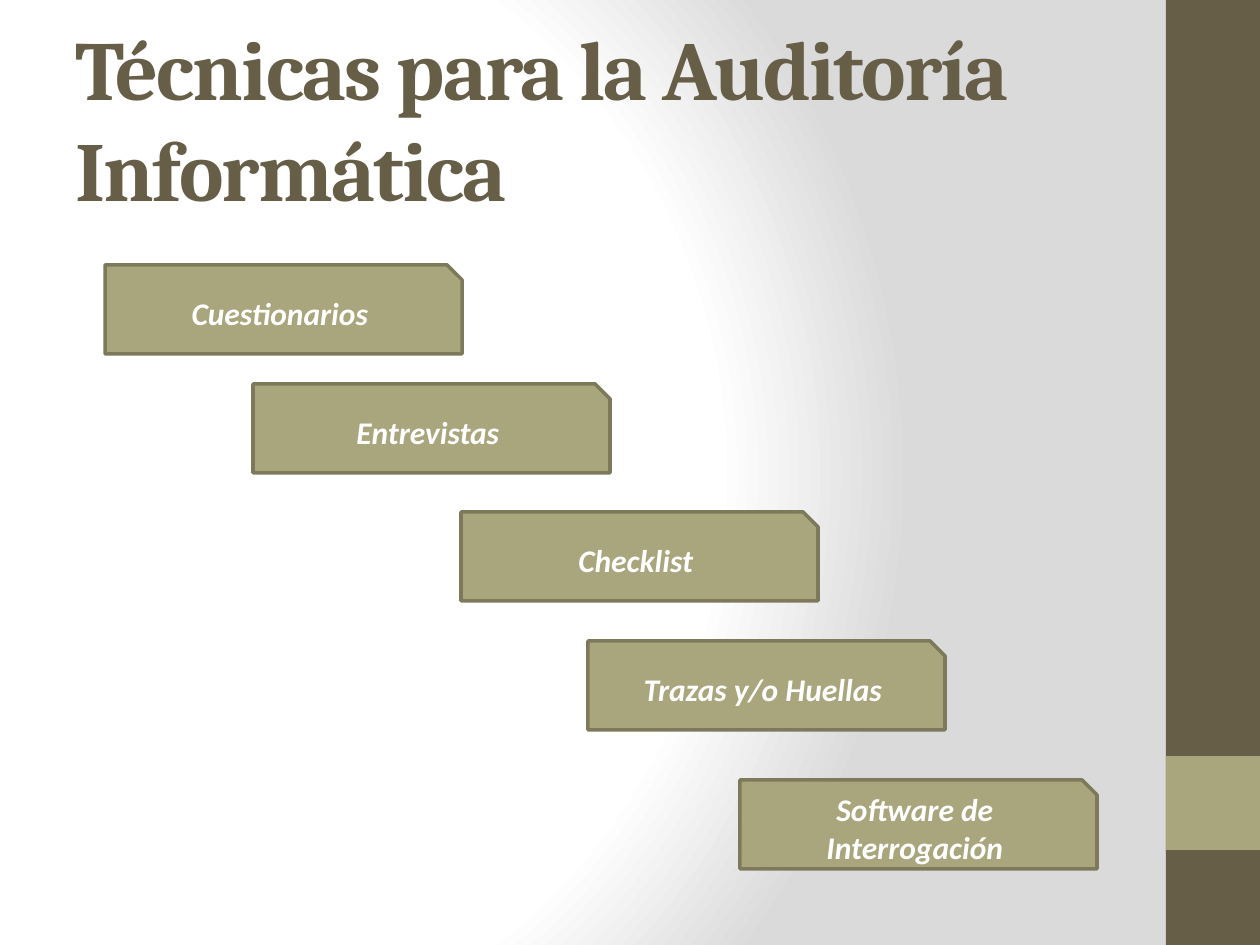
from lxml import etree
from pptx import Presentation
from pptx.dml.color import RGBColor
from pptx.enum.shapes import MSO_SHAPE
from pptx.enum.text import MSO_ANCHOR, PP_ALIGN
from pptx.oxml import parse_xml
from pptx.oxml.ns import nsdecls
from pptx.util import Emu, Pt

RECT, CARD = MSO_SHAPE.RECTANGLE, MSO_SHAPE.SNIP_1_RECTANGLE
MIDDLE = MSO_ANCHOR.MIDDLE
LEFT, CENTER = PP_ALIGN.LEFT, PP_ALIGN.CENTER

COLORS = {"brown": "675E47", "olive": "A9A57C", "edge": "7D7A5C",
          "white": "FFFFFF", "gray": "DADADA"}
TITLE = "Técnicas para la Auditoría Informática"
TITLE_BOX = (63, 38, 1050, 158)
TITLE_FONT = {"name": "Cambria", "size": Pt(48), "bold": True}
CARD_FONT = {"name": "Calibri", "size": Pt(18), "bold": True, "italic": True}
SIDEBAR = [((1166, 0, 94, 945), "brown"), ((1166, 756, 94, 94), "olive")]
TECHNIQUES = [
    ("Cuestionarios", 105, 265),
    ("Entrevistas", 253, 384),
    ("Checklist", 461, 512),
    ("Trazas y/o Huellas", 588, 641),
    ("Software de Interrogación", 740, 780),
]
CARD_SIZE = (357, 89)
BACKGROUND_STOPS = [(0, "white"), (75, "white"), (100, "gray")]
BACKGROUND_FOCUS = {"l": 20, "t": 50, "r": 100, "b": 50}


def px(value):
    return Emu(round(value * 914400 / 126))


def color(name):
    return RGBColor.from_string(COLORS[name])


def paint_background(slide):
    stops = "".join(
        f'<a:gs pos="{pos * 1000}"><a:srgbClr val="{COLORS[name]}"/></a:gs>'
        for pos, name in BACKGROUND_STOPS)
    focus = " ".join(f'{side}="{pct * 1000}"' for side, pct in BACKGROUND_FOCUS.items())
    background = parse_xml(
        f'<p:bg {nsdecls("p", "a")}><p:bgPr><a:gradFill rotWithShape="1">'
        f'<a:gsLst>{stops}</a:gsLst><a:path path="circle"><a:fillToRect {focus}/></a:path>'
        '</a:gradFill><a:effectLst/></p:bgPr></p:bg>')
    slide.element.cSld.insert(0, background)


def add_block(slide, kind, box, fill, edge=None):
    block = slide.shapes.add_shape(kind, *map(px, box))
    block.shadow.inherit = False
    block.fill.solid()
    block.fill.fore_color.rgb = color(fill)
    if edge:
        block.line.color.rgb = color(edge)
        block.line.width = Pt(2)
    else:
        block.line.fill.background()
    return block


def write(holder, text, font, tint, align):
    frame = holder.text_frame
    frame.word_wrap = True
    frame.vertical_anchor = MIDDLE
    paragraph = frame.paragraphs[0]
    paragraph.alignment = align
    run = paragraph.add_run()
    run.text = text
    for attribute, value in font.items():
        setattr(run.font, attribute, value)
    run.font.color.rgb = color(tint)
    return run


def main():
    deck = Presentation()
    deck.slide_width, deck.slide_height = px(1260), px(945)
    slide = deck.slides.add_slide(deck.slide_layouts[6])
    paint_background(slide)
    for box, fill in SIDEBAR:
        add_block(slide, RECT, box, fill)
    heading = slide.shapes.add_textbox(*map(px, TITLE_BOX))
    heading_run = write(heading, TITLE, TITLE_FONT, "brown", LEFT)
    heading_run.font._element.set("spc", "-100")
    for technique, left, top in TECHNIQUES:
        card = add_block(slide, CARD, (left, top, *CARD_SIZE), "olive", "edge")
        write(card, technique, CARD_FONT, "white", CENTER)
    deck.save("out.pptx")


if __name__ == "__main__":
    main()
